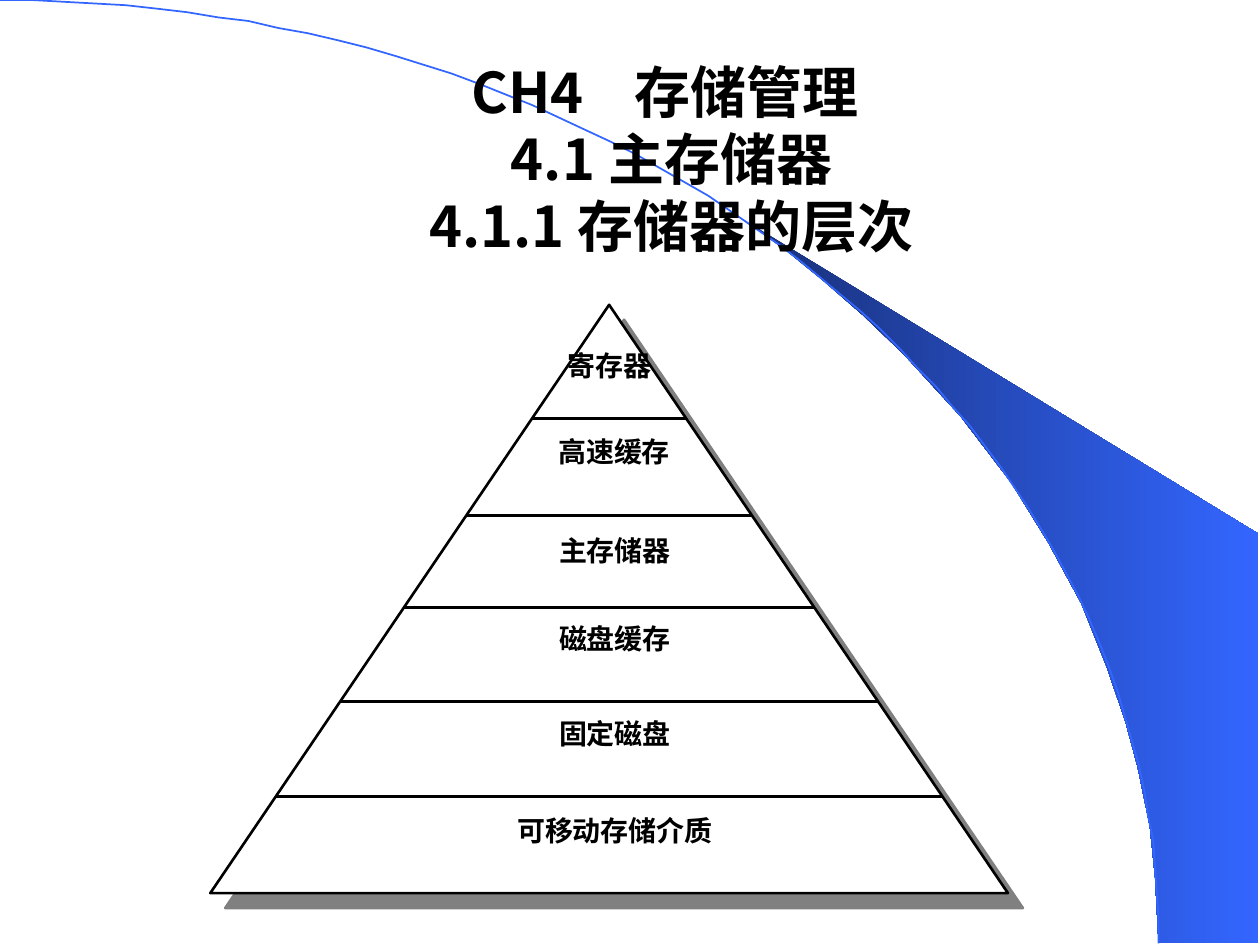
from lxml.etree import SubElement
from pptx import Presentation
from pptx.dml.color import RGBColor
from pptx.enum.shapes import MSO_CONNECTOR, MSO_SHAPE
from pptx.enum.text import MSO_ANCHOR, PP_ALIGN
from pptx.oxml.ns import qn
from pptx.util import Pt

TITLE = [["CH4", " ", "存储管理 "], ["4.1 主存储器"], ["4.1.1 存储器的层次"]]
GAP = 21.5  # extra width of the lone space in the title

# label, its centre, its top, the line below it
LEVELS = [
    ("寄存器", 348.5, 199.4, 239),
    ("高速缓存", 351, 248.4, 294.5),
    ("主存储器", 351.4, 304.6, 347),
    ("磁盘缓存", 351.4, 355, 401),
    ("固定磁盘", 351.4, 409.7, 455),
    ("可移动存储介质", 351.4, 465.1, None),
]
LEFT, TOP, WIDTH, HEIGHT = 120.2, 174.2, 455.8, 336.2

SWOOSH = [
    (662.4, 538.6), (719.3, 539.3), (719.3, 304.6), (424.1, 124.6),
    (449.3, 143.3), (470.2, 159.8), (493.2, 180), (515.5, 201.6),
    (548.6, 237.6), (578.2, 276.5), (599, 310.3), (617.8, 344.9),
    (632.2, 380.2), (643, 411.8), (650.2, 438.5), (657.4, 472.3),
    (660.2, 501.1),
]
ARC = [(0, 0), (365.8, 0), (662.4, 241.2), (662.4, 539.3)]
STEPS = 60


def color(code):
    return RGBColor.from_string(code)


def bezier(ends, t):
    """Point at t on a cubic curve."""
    parts = ((1 - t) ** 3, 3 * t * (1 - t) ** 2, 3 * t * t * (1 - t), t ** 3)
    return tuple(sum(k * p[i] for k, p in zip(parts, ends)) for i in (0, 1))


def outline(shapes, points, close):
    pen = shapes.build_freeform(*points[0], scale=Pt(1))
    pen.add_line_segments(points[1:], close=close)
    shape = pen.convert_to_shape()
    shape.shadow.inherit = False
    return shape


def stroke(item, code, width):
    item.line.color.rgb = color(code)
    item.line.width = Pt(width)


def text(shapes, lines, box, size, font, inset=(0, 0), anchor=MSO_ANCHOR.TOP,
         wrap=False, pitch=None):
    frame = shapes.add_textbox(*map(Pt, box)).text_frame
    frame.word_wrap = wrap
    frame.vertical_anchor = anchor
    frame.margin_left = frame.margin_right = Pt(inset[0])
    frame.margin_top = frame.margin_bottom = Pt(inset[1])
    para = frame.paragraphs[0]
    para.alignment = PP_ALIGN.CENTER
    if pitch:
        para.line_spacing = pitch
    for i, line in enumerate(lines):
        if i:
            para.add_line_break()
        for piece in line:
            run = para.add_run()
            run.text = piece
            run.font.size, run.font.bold = Pt(size), True
            run.font.name = font
            run.font.color.rgb = color("000000")
            props = run.font._element
            SubElement(props, qn("a:ea"), typeface=font)
            if piece == " ":
                props.set("spc", str(int(GAP * 100)))


def rule(shapes, y):
    """Line across the pyramid at height y."""
    mid, half = LEFT + WIDTH / 2, (y - TOP) / HEIGHT * WIDTH / 2
    line = shapes.add_connector(
        MSO_CONNECTOR.STRAIGHT, Pt(mid - half), Pt(y), Pt(mid + half), Pt(y))
    stroke(line, "000000", 1.5)
    SubElement(line._element.spPr, qn("a:effectLst"))


def backdrop(shapes):
    swoosh = outline(shapes, SWOOSH, True)
    swoosh.line.fill.background()
    swoosh.fill.gradient()
    swoosh.fill.gradient_angle = 0
    for stop, code in zip(swoosh.fill.gradient_stops, ("182F76", "3366FF")):
        stop.color.rgb = color(code)
    arc = outline(shapes, [bezier(ARC, i / STEPS) for i in range(STEPS + 1)], False)
    arc.fill.background()
    stroke(arc, "3366FF", 1)


def pyramid(shapes):
    body = shapes.add_shape(
        MSO_SHAPE.ISOSCELES_TRIANGLE, *map(Pt, (LEFT, TOP, WIDTH, HEIGHT)))
    body.fill.solid()
    body.fill.fore_color.rgb = color("FFFFFF")
    stroke(body, "000000", 1.5)
    body.shadow.inherit = False
    effects = body._element.spPr.find(qn("a:effectLst"))
    shade = SubElement(effects, qn("a:outerShdw"), dist=str(Pt(12.1)),
                       dir="2700000", algn="ctr", rotWithShape="0")
    SubElement(shade, qn("a:srgbClr"), val="808080")
    for label, mid, top, base in LEVELS:
        wide = 20 * len(label)
        text(shapes, [[label]], (mid - wide / 2, top, wide, 40), 16,
             "Noto Sans CJK SC")
        if base:
            rule(shapes, base)


def main():
    deck = Presentation()
    deck.slide_width, deck.slide_height = Pt(720), Pt(540)
    shapes = deck.slides.add_slide(deck.slide_layouts[6]).shapes
    backdrop(shapes)
    text(shapes, TITLE, (77.8, 30.2, 612, 120.2), 32, "Noto Sans CJK JP",
         inset=(7.2, 3.6), anchor=MSO_ANCHOR.MIDDLE, wrap=True)
    pyramid(shapes)
    deck.save("out.pptx")


if __name__ == "__main__":
    main()
